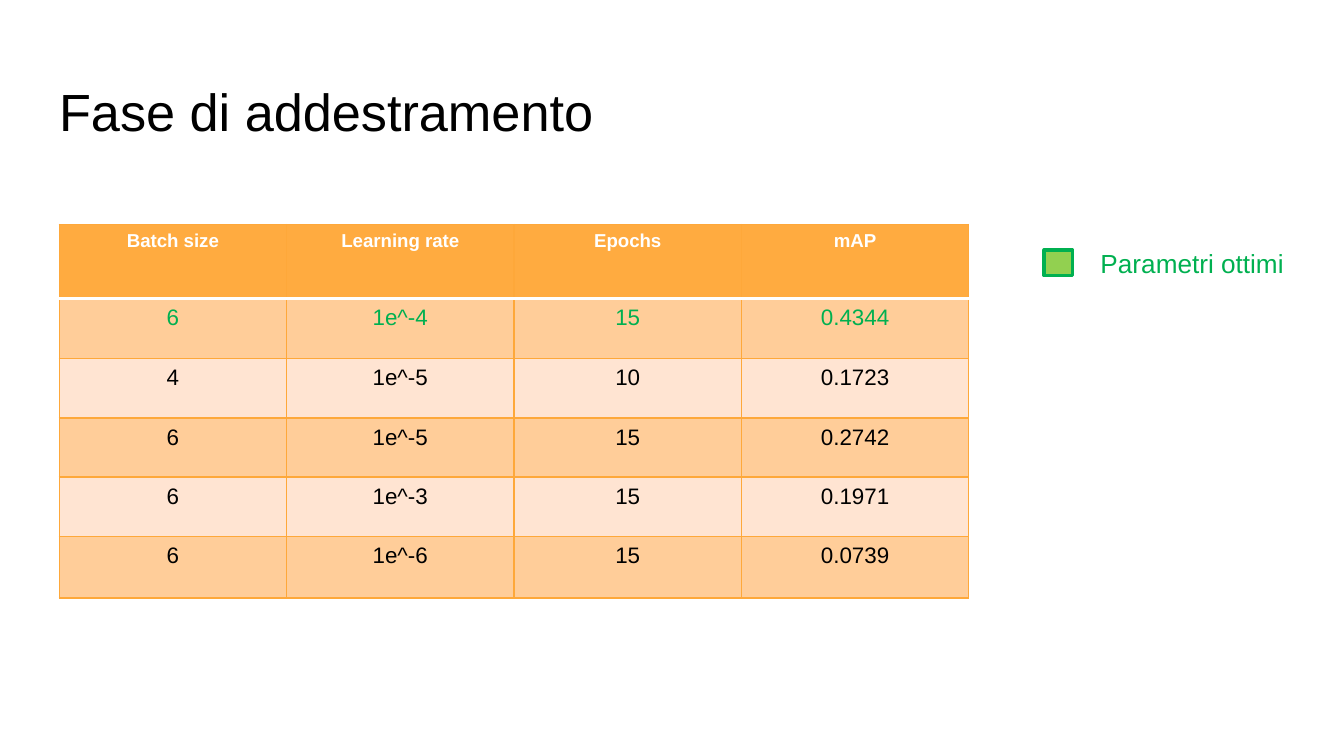
from lxml.etree import SubElement
from pptx import Presentation
from pptx.dml.color import RGBColor
from pptx.enum.shapes import MSO_SHAPE
from pptx.enum.text import MSO_ANCHOR, MSO_AUTO_SIZE, PP_ALIGN
from pptx.oxml.ns import qn
from pptx.util import Inches, Pt

WIDTH = Inches(10)
HEIGHT = WIDTH * 9 // 16
COLORS = {
    "ink": "000000",
    "white": "FFFFFF",
    "header": "FFAB40",
    "odd": "FFCD99",
    "even": "FFE4D2",
    "border": "FEA83A",
    "best": "00B050",
    "marker": "92D050",
}
ROW_HEIGHTS = [0.55, 0.45, 0.44, 0.44, 0.44, 0.46]
TABLE_WIDTH = 6.77
RUNS = [
    ["Batch size", "Learning rate", "Epochs", "mAP"],
    ["6", "1e^-4", "15", "0.4344"],
    ["4", "1e^-5", "10", "0.1723"],
    ["6", "1e^-5", "15", "0.2742"],
    ["6", "1e^-3", "15", "0.1971"],
    ["6", "1e^-6", "15", "0.0739"],
]
BEST_ROW = 1


def color(name):
    return RGBColor.from_string(COLORS[name])


def write(frame, text, size, ink, align=PP_ALIGN.LEFT, bold=False):
    frame.text = text
    paragraph = frame.paragraphs[0]
    paragraph.alignment = align
    font = paragraph.runs[0].font
    font.name, font.size, font.bold = "Arial", Pt(size), bold
    font.color.rgb = color(ink)


def add_title(slide, text):
    title = slide.shapes.title
    title.left, title.top = int(WIDTH * 0.034), Inches(0.49)
    title.width, title.height = int(WIDTH * 0.932), Inches(0.63)
    frame = title.text_frame
    frame.auto_size = MSO_AUTO_SIZE.NONE
    frame.vertical_anchor = MSO_ANCHOR.TOP
    frame.margin_left = frame.margin_right = Inches(0.1)
    frame.margin_top = frame.margin_bottom = Inches(0.1)
    write(frame, text, 28, "ink")


def add_border(cell, side, name, points):
    line = SubElement(cell._tc.get_or_add_tcPr(), qn(f"a:ln{side}"), w=str(Pt(points)))
    fill = SubElement(line, qn("a:solidFill"))
    SubElement(fill, qn("a:srgbClr"), val=COLORS[name])


def format_cell(cell, row, text):
    for side in "LRTB":
        under_header = (row, side) in [(0, "B"), (1, "T")]
        add_border(cell, side, *(("white", 2) if under_header else ("border", 0.75)))
    cell.fill.solid()
    band = "odd" if row % 2 else "even"
    cell.fill.fore_color.rgb = color("header" if row == 0 else band)
    if row == 0:
        size, ink = 10, "white"
    else:
        size, ink = 12, "best" if row == BEST_ROW else "ink"
    write(cell.text_frame, text, size, ink, PP_ALIGN.CENTER, bold=row == 0)


def add_results(slide):
    results = slide.shapes.add_table(
        len(RUNS), len(RUNS[0]), Inches(0.44), Inches(1.67),
        Inches(TABLE_WIDTH), Inches(sum(ROW_HEIGHTS)),
    ).table
    for row, values in enumerate(RUNS):
        results.rows[row].height = Inches(ROW_HEIGHTS[row])
        for column, value in enumerate(values):
            format_cell(results.cell(row, column), row, value)


def add_legend(slide, text):
    marker = slide.shapes.add_shape(
        MSO_SHAPE.RECTANGLE, Inches(7.77), Inches(1.86), Inches(0.21), Inches(0.19)
    )
    marker.shadow.inherit = False
    marker.fill.solid()
    marker.fill.fore_color.rgb = color("marker")
    marker.line.color.rgb = color("best")
    marker.line.width = Pt(2)
    label = slide.shapes.add_textbox(
        Inches(8.09), Inches(1.79), Inches(1.57), Inches(0.34)
    ).text_frame
    label.word_wrap = False
    label.auto_size = MSO_AUTO_SIZE.SHAPE_TO_FIT_TEXT
    write(label, text, 14, "best")


def main():
    deck = Presentation()
    deck.slide_width, deck.slide_height = WIDTH, HEIGHT
    slide = deck.slides.add_slide(deck.slide_layouts[5])
    add_title(slide, "Fase di addestramento")
    add_results(slide)
    add_legend(slide, "Parametri ottimi")
    deck.save("out.pptx")


if __name__ == "__main__":
    main()
